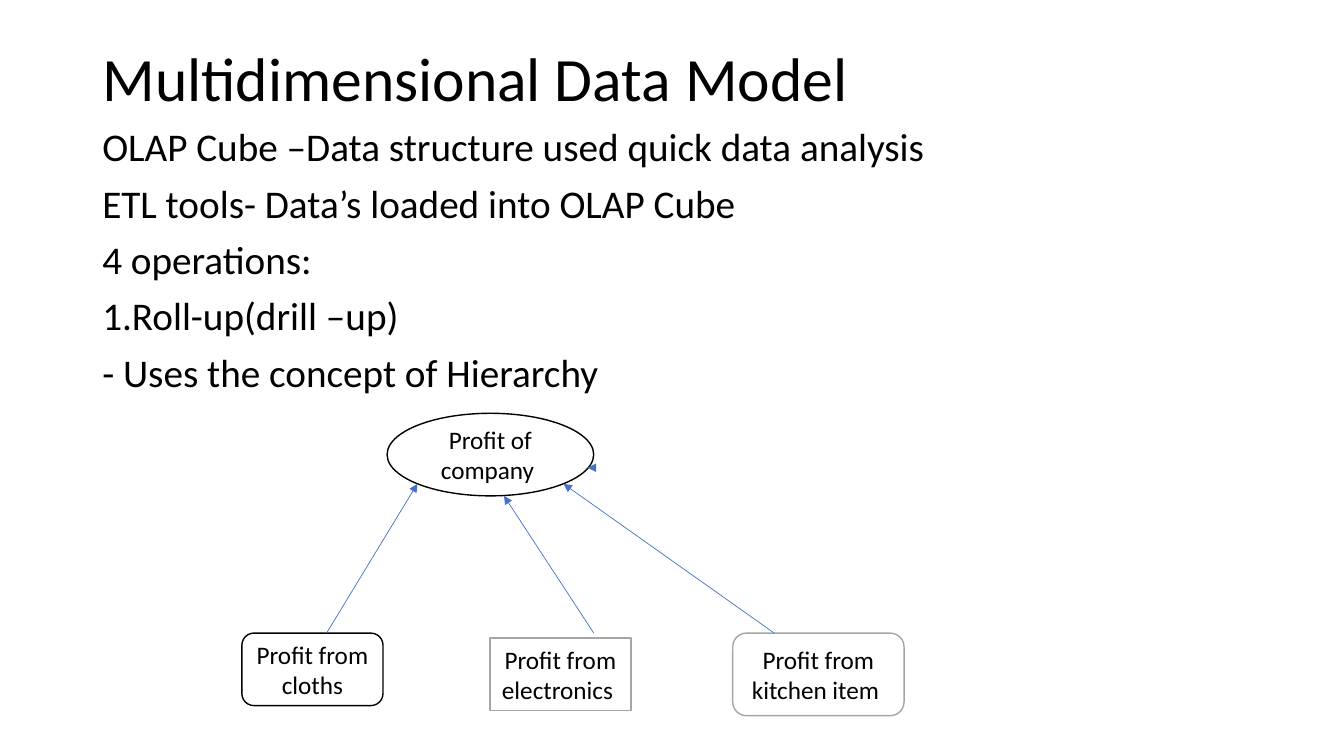
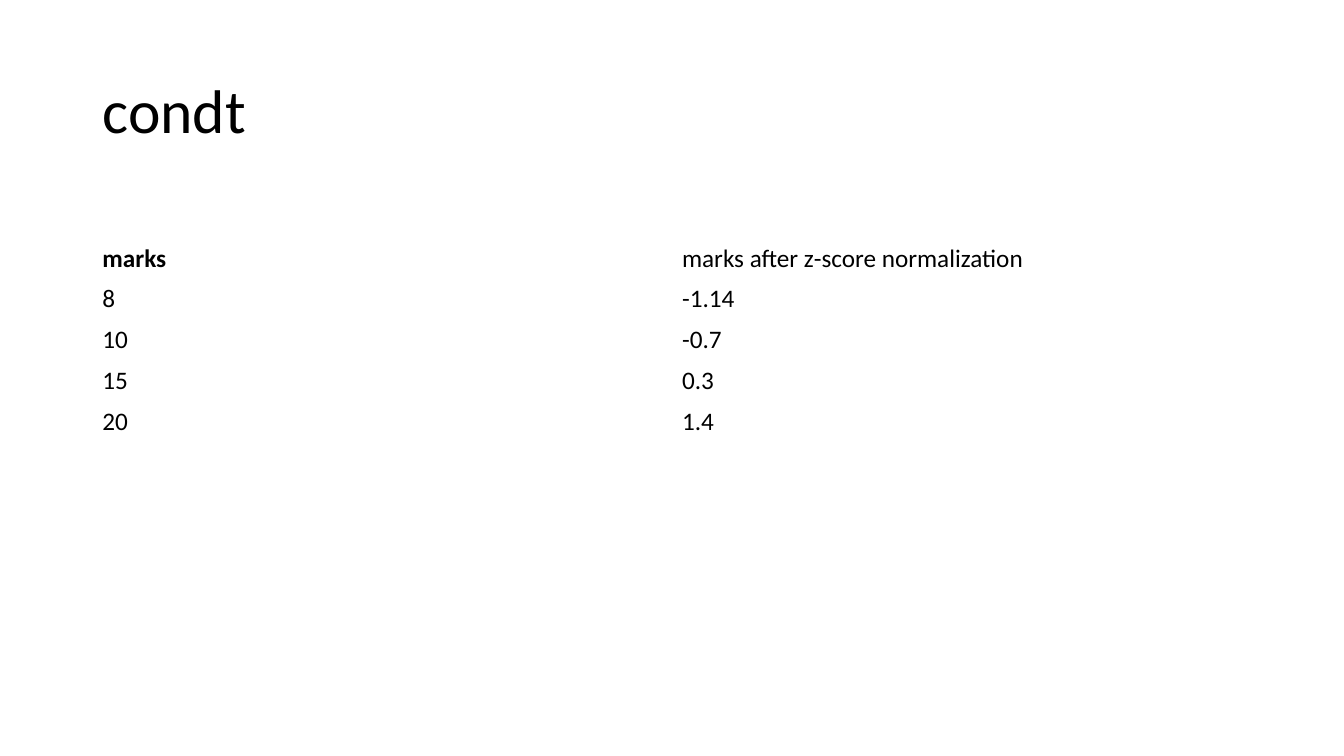
from lxml.etree import SubElement as Sub
from pptx import Presentation
from pptx.dml.color import RGBColor as Rgb
from pptx.enum.shapes import MSO_CONNECTOR as Link, MSO_SHAPE as Kind
from pptx.enum.text import MSO_ANCHOR as Anchor, MSO_AUTO_SIZE as Fit, PP_ALIGN as Align
from pptx.oxml.ns import qn
from pptx.util import Pt

FONT = "Calibri"
HUES = {"text": "000000", "paper": "FFFFFF", "gray": "A5A5A5", "blue": "4472C4"}
LEFT, WIDE = 66, 828
TOP = 28.8

LINES = [
    "OLAP Cube –Data structure used quick data analysis",
    "ETL tools- Data’s loaded into OLAP Cube",
    "4 operations:",
    "1.Roll-up(drill –up)",
    "- Uses the concept of Hierarchy",
]
NODES = [
    (Kind.OVAL, (276.5, 295.2, 147.6, 59), "text", "Profit of company "),
    (Kind.ROUNDED_RECTANGLE, (172.8, 452.2, 100.8, 51.8), "text", "Profit from cloths"),
    (Kind.RECTANGLE, (349.9, 455.8, 100.8, 51.8), "gray", "Profit from electronics "),
    (Kind.ROUNDED_RECTANGLE, (523.4, 452.2, 122.4, 59), "gray", "Profit from kitchen item "),
]
ARROWS = [
    (424.1, 334.1, 419.8, 334.1),
    (233.3, 452.2, 298.1, 345.6),
    (424.1, 452.2, 360, 354.2),
    (553, 452.2, 402.5, 345.6),
]
MARKS = [
    ("marks", "marks after z-score normalization"),
    ("8", "-1.14"),
    ("10", "-0.7"),
    ("15", "0.3"),
    ("20", "1.4"),
]


def hue(name):
    return Rgb.from_string(HUES[name])


def pts(*nums):
    return [Pt(num) for num in nums]


def write(para, text, size, bold=False):
    run = para.add_run()
    run.text = text
    font = run.font
    font.name, font.size, font.bold = FONT, Pt(size), bold
    font.color.rgb = hue("text")


def add_page(deck, text, high):
    page = deck.slides.add_slide(deck.slide_layouts[5])
    title = page.shapes.title
    title.left, title.top, title.width, title.height = pts(LEFT, TOP, WIDE, high)
    frame = title.text_frame
    frame.auto_size = Fit.NONE
    frame.vertical_anchor = Anchor.MIDDLE
    para = frame.paragraphs[0]
    para.alignment = Align.LEFT
    para.line_spacing = 0.9
    write(para, text, 44)
    return page


def add_body(page, lines, top, high):
    frame = page.shapes.add_textbox(*pts(LEFT, top, WIDE, high)).text_frame
    frame.word_wrap = True
    for i, line in enumerate(lines):
        para = frame.add_paragraph() if i else frame.paragraphs[0]
        para.line_spacing = 0.9
        para.space_before = Pt(10)
        write(para, line, 28)


def add_node(page, kind, box, edge, text):
    node = page.shapes.add_shape(kind, *pts(*box))
    node.shadow.inherit = False
    node.fill.solid()
    node.fill.fore_color.rgb = hue("paper")
    node.line.color.rgb = hue(edge)
    node.line.width = Pt(1)
    frame = node.text_frame
    frame.word_wrap = True
    frame.vertical_anchor = Anchor.MIDDLE
    para = frame.paragraphs[0]
    para.alignment = Align.CENTER
    write(para, text, 18)


def add_arrow(page, ends):
    arrow = page.shapes.add_connector(Link.STRAIGHT, *pts(*ends))
    arrow.line.color.rgb = hue("blue")
    arrow.line.width = Pt(0.5)
    Sub(arrow.line._get_or_add_ln(), qn("a:tailEnd"), type="triangle")
    Sub(arrow._element.spPr, qn("a:effectLst"))


def add_grid(page, rows, top, step):
    size = pts(LEFT, top, WIDE, step * len(rows))
    grid = page.shapes.add_table(len(rows), len(rows[0]), *size).table
    grid.first_row = grid.horz_banding = False
    for r, row in enumerate(rows):
        grid.rows[r].height = Pt(step)
        for c, text in enumerate(row):
            cell = grid.cell(r, c)
            cell.fill.background()
            cell.vertical_anchor = Anchor.MIDDLE
            write(cell.text_frame.paragraphs[0], text, 18, r == c == 0)


def main():
    deck = Presentation()
    deck.slide_width, deck.slide_height = pts(960, 540)

    model = add_page(deck, "Multidimensional Data Model", 59)
    add_body(model, LINES, TOP + 59, 445)
    for node in NODES:
        add_node(model, *node)
    for ends in ARROWS:
        add_arrow(model, ends)

    marks = add_page(deck, "condt", 104.4)
    add_grid(marks, MARKS, 170, 29.2)

    deck.save("out.pptx")


if __name__ == "__main__":
    main()
